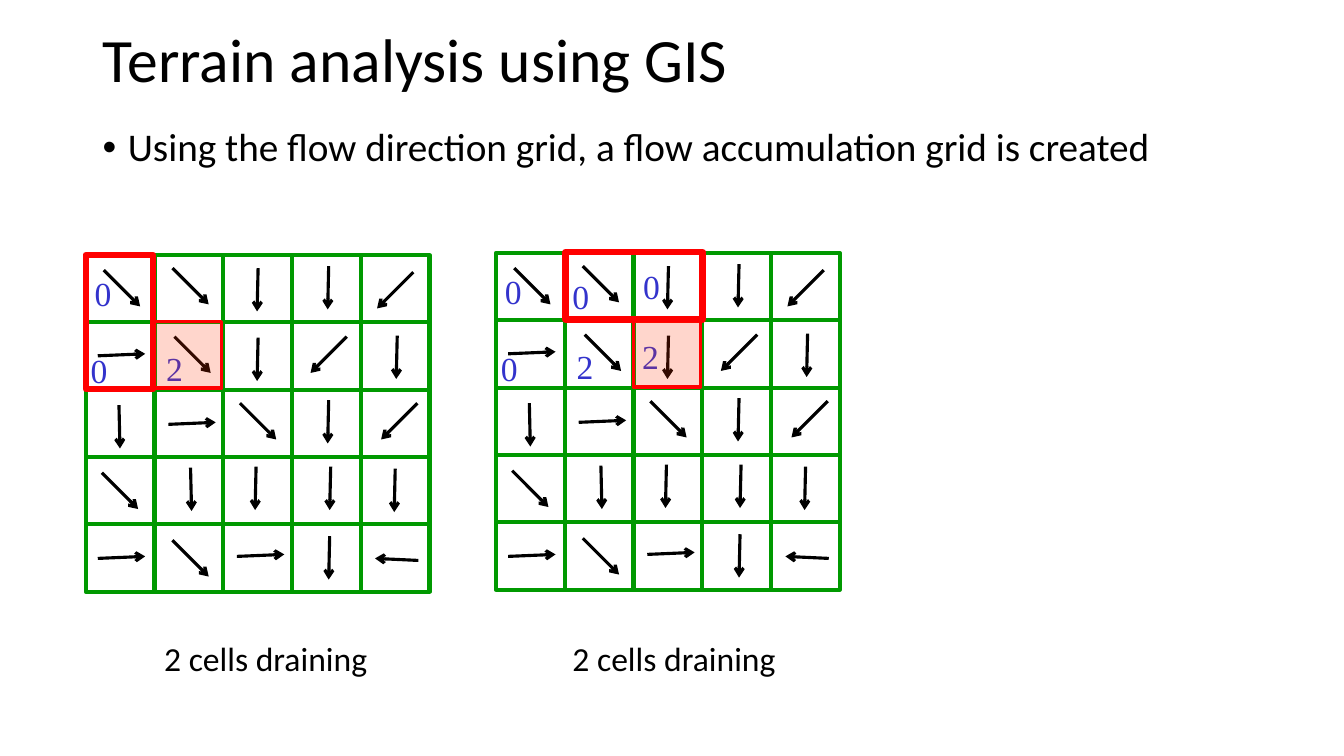
from lxml.etree import SubElement
from pptx import Presentation
from pptx.dml.color import RGBColor
from pptx.enum.shapes import MSO_CONNECTOR, MSO_SHAPE
from pptx.enum.text import MSO_ANCHOR, MSO_AUTO_SIZE, PP_ALIGN
from pptx.oxml.ns import qn
from pptx.util import Inches, Pt

COLORS = {
    "ink": "000000",
    "cell": "009900",
    "upstream": "FF0000",
    "target": "FF3300",
    "count": "3333CC",
}
BODY_FONT, COUNT_FONT = "Calibri", "Times New Roman"

SIZE = 5
CELL_W, CELL_H = 3.41 / SIZE, 3.34 / SIZE

# Flow direction -> arrow vector in inches
FLOW = {
    "SE": (0.36, 0.36),
    "SW": (-0.36, 0.36),
    "E": (0.47, -0.02),
    "W": (-0.43, -0.02),
    "S": (-0.01, 0.43),
    "S+": (0.01, 0.43),
}

# Flow direction and arrow start, measured from the grid's corner, row by row
ARROWS = [
    ("SE", 0.18, 0.15), ("SE", 0.86, 0.13), ("S", 1.71, 0.13), ("S", 2.41, 0.11), ("SW", 3.25, 0.17),
    ("E", 0.12, 1.00), ("SE", 0.88, 0.81), ("S", 1.71, 0.82), ("SW", 2.59, 0.81), ("S", 3.09, 0.80),
    ("S+", 0.33, 1.49), ("E", 0.82, 1.68), ("SE", 1.53, 1.47), ("S", 2.41, 1.44), ("SW", 3.29, 1.47),
    ("SE", 0.16, 2.16), ("S+", 1.04, 2.11), ("S", 1.69, 2.10), ("S", 2.43, 2.10), ("S", 3.07, 2.12),
    ("E", 0.12, 3.01), ("SE", 0.86, 2.83), ("E", 1.50, 2.99), ("S", 2.42, 2.79), ("W", 3.30, 3.03),
]

# Accumulated counts, measured from the grid's corner
FIRST_COUNTS = [("0", -0.01, 0.13), ("0", -0.05, 0.89), ("2", 0.70, 0.87)]
NEXT_COUNTS = [("0", 0.66, 0.18), ("0", 1.36, 0.08), ("2", 1.35, 0.77)]


def rgb(name):
    return RGBColor.from_string(COLORS[name])


class FlowSlide:
    def __init__(self, prs):
        self.slide = prs.slides.add_slide(prs.slide_layouts[5])
        self.shapes = self.slide.shapes

    def add_words(self, paragraph, words, size, color="ink", font=BODY_FONT):
        run = paragraph.add_run()
        run.text = words
        run.font.size = Pt(size)
        run.font.name = font
        run.font.color.rgb = rgb(color)

    def title(self, words, left, top, width, height):
        heading = self.shapes.title
        heading.left, heading.top = Inches(left), Inches(top)
        heading.width, heading.height = Inches(width), Inches(height)
        frame = heading.text_frame
        frame.auto_size = MSO_AUTO_SIZE.NONE
        frame.vertical_anchor = MSO_ANCHOR.MIDDLE
        paragraph = frame.paragraphs[0]
        paragraph.alignment = PP_ALIGN.LEFT
        paragraph.line_spacing = 0.9
        self.add_words(paragraph, words, 44)

    def bullet(self, words, left, top, width, height):
        box = self.shapes.add_textbox(Inches(left), Inches(top), Inches(width), Inches(height))
        box.text_frame.word_wrap = True
        paragraph = box.text_frame.paragraphs[0]
        props = paragraph._p.get_or_add_pPr()
        props.set("marL", str(Inches(0.25)))
        props.set("indent", str(Inches(-0.25)))
        SubElement(props, qn("a:buFont")).set("typeface", "Arial")
        SubElement(props, qn("a:buChar")).set("char", "•")
        paragraph.line_spacing = 0.9
        self.add_words(paragraph, words, 28)

    def label(self, shapes, words, left, top, width, **style):
        box = shapes.add_textbox(Inches(left), Inches(top), Inches(width), Inches(0.5))
        box.text_frame.word_wrap = False
        box.text_frame.auto_size = MSO_AUTO_SIZE.SHAPE_TO_FIT_TEXT
        self.add_words(box.text_frame.paragraphs[0], words, 24, **style)

    def frame(self, shapes, left, top, width, height, color, weight, fill=None):
        """Draw an outlined rectangle, with a 20% opaque fill if one is named."""
        rect = shapes.add_shape(
            MSO_SHAPE.RECTANGLE, Inches(left), Inches(top), Inches(width), Inches(height))
        rect.shadow.inherit = False
        rect.line.color.rgb = rgb(color)
        rect.line.width = Pt(weight)
        if fill is None:
            rect.fill.background()
            return
        rect.fill.solid()
        rect.fill.fore_color.rgb = rgb(fill)
        tint = rect._element.spPr.find(qn("a:solidFill"))[0]
        SubElement(tint, qn("a:alpha")).set("val", "20000")

    def arrow(self, shapes, left, top, direction):
        dx, dy = FLOW[direction]
        flow = shapes.add_connector(
            MSO_CONNECTOR.STRAIGHT, Inches(left), Inches(top), Inches(left + dx), Inches(top + dy))
        flow.line.color.rgb = rgb("ink")
        flow.line.width = Pt(2.25)
        SubElement(flow.line._get_or_add_ln(), qn("a:tailEnd")).set("type", "arrow")
        SubElement(flow._element.spPr, qn("a:effectLst"))

    def flow_grid(self, left, top, counts, upstream, target):
        """Draw one grid; upstream and target are boxes measured from its corner."""
        shapes = self.shapes.add_group_shape().shapes
        for row in range(SIZE):
            for col in range(SIZE):
                self.frame(shapes, left + col * CELL_W, top + row * CELL_H,
                           CELL_W, CELL_H, "cell", 3)
        for direction, x, y in ARROWS:
            self.arrow(shapes, left + x, top + y, direction)
        for count, x, y in counts:
            self.label(shapes, count, left + x, top + y, 0.37, color="count", font=COUNT_FONT)
        x, y, width, height = upstream
        self.frame(shapes, left + x, top + y, width, height, "upstream", 4.5)
        x, y, width, height = target
        self.frame(shapes, left + x, top + y, width, height, "upstream", 2.25, fill="target")


def main():
    prs = Presentation()
    prs.slide_width, prs.slide_height = Inches(13.33), Inches(7.5)
    page = FlowSlide(prs)
    page.title("Terrain analysis using GIS", 0.92, 0.02, 11.5, 1.2)
    page.bullet("Using the flow direction grid, a flow accumulation grid is created",
                0.92, 1.22, 11.35, 0.92)
    page.flow_grid(0.85, 2.53, FIRST_COUNTS,
                   upstream=(0, 0, 0.67, 1.33), target=(0.68, 0.66, 0.67, 0.66))
    page.flow_grid(4.92, 2.51, FIRST_COUNTS + NEXT_COUNTS,
                   upstream=(0.69, -0.01, 1.36, 0.67), target=(1.36, 0.67, 0.67, 0.66))
    for left in (1.53, 5.58):
        page.label(page.shapes, "2 cells draining", left, 6.28, 2.23)
    prs.save("out.pptx")


if __name__ == "__main__":
    main()
